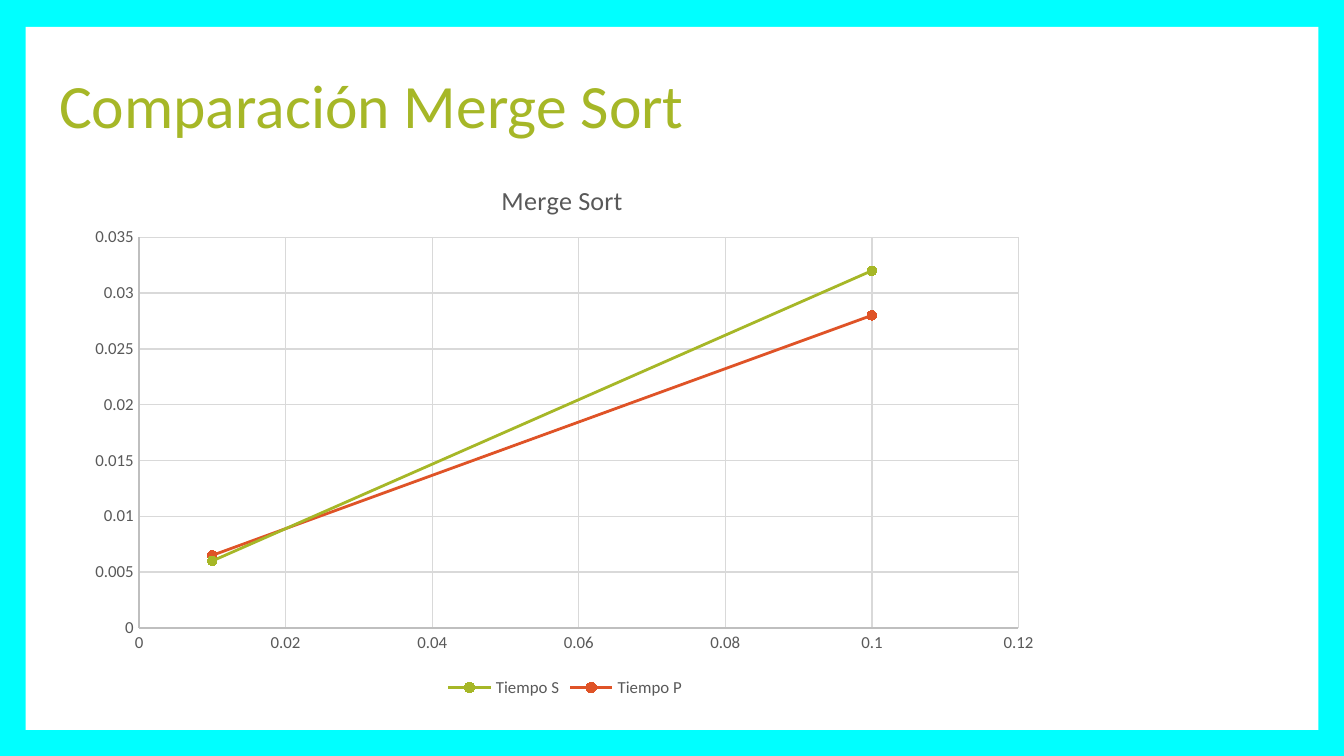
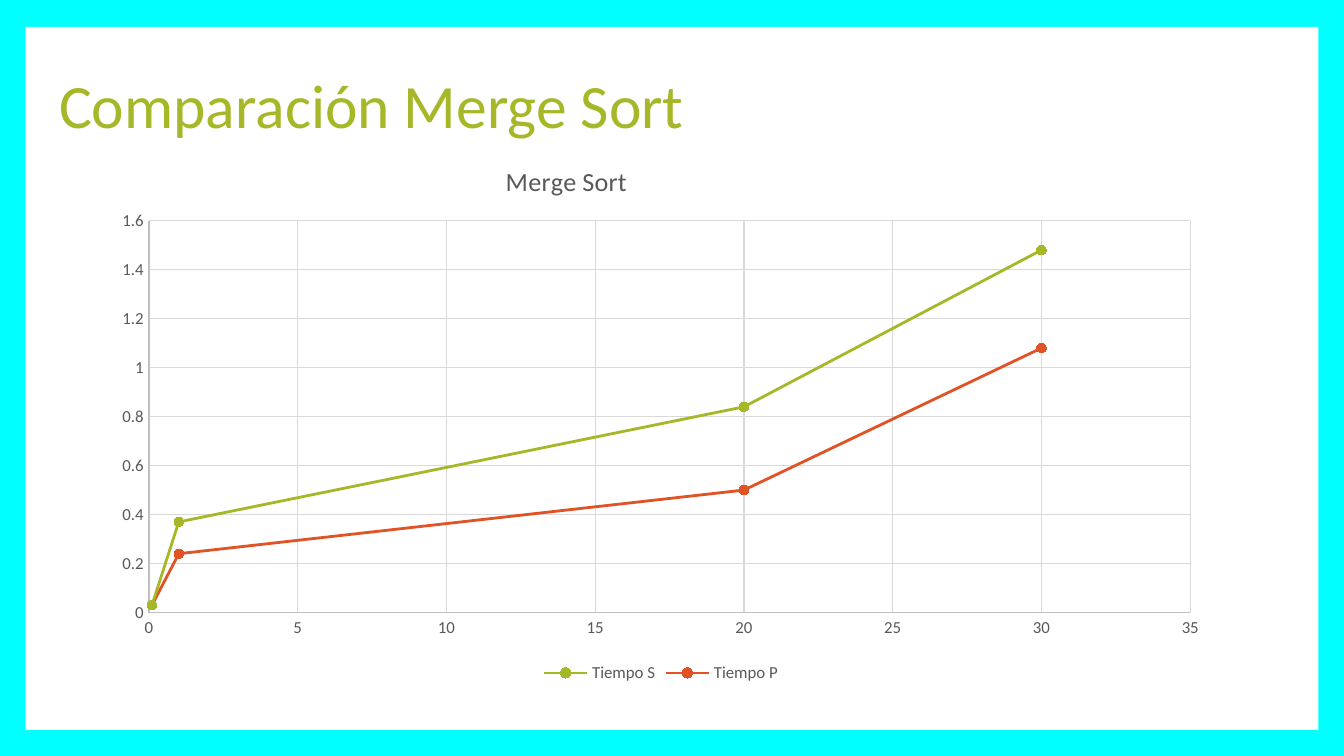
from dataclasses import dataclass

from lxml import etree
from pptx import Presentation
from pptx.chart.data import XyChartData
from pptx.dml.color import RGBColor
from pptx.enum.chart import (XL_CHART_TYPE, XL_LEGEND_POSITION,
                             XL_MARKER_STYLE, XL_TICK_MARK)
from pptx.enum.shapes import MSO_SHAPE
from pptx.enum.text import MSO_ANCHOR, MSO_AUTO_SIZE, PP_ALIGN
from pptx.oxml.ns import qn
from pptx.util import Pt

SMOOTH_SCATTER = XL_CHART_TYPE.XY_SCATTER_SMOOTH
BOTTOM = XL_LEGEND_POSITION.BOTTOM
CIRCLE = XL_MARKER_STYLE.CIRCLE
NO_TICKS = XL_TICK_MARK.NONE
TITLE_ONLY = 5

TITLE = "Comparación Merge Sort"
CHART_TITLE = "Merge Sort"

# Layout values are fractions of the chart; axes are (maximum, major unit).
SLIDES = [
    dict(box=(41, 80, 523.5, 296.5),
         plot=dict(x=0.064, y=0.159, w=0.9, h=0.706),
         heading=dict(x=0.43, y=0.05),
         x_axis=(0.12, 0.02), y_axis=(0.035, 0.005),
         sizes=[0.01, 0.1],
         times={"Tiempo S": [0.006, 0.032],
                "Tiempo P": [0.0065, 0.028]}),
    dict(box=(54, 71.3, 600.5, 297.4),
         plot=dict(x=0.043, y=0.158, w=0.929, h=0.706),
         heading=dict(x=0.357, y=0.045),
         x_axis=(35, 5), y_axis=(1.6, 0.2),
         sizes=[0.1, 1, 20, 30],
         times={"Tiempo S": [0.03, 0.37, 0.84, 1.48],
                "Tiempo P": [0.03, 0.24, 0.5, 1.08]}),
]


@dataclass(frozen=True)
class Theme:
    font: str = "Calibri"
    frame: str = "00FFFF"
    panel: str = "FFFFFF"
    title: str = "A6B727"
    label: str = "595959"
    axis: str = "BFBFBF"
    grid: str = "D9D9D9"
    series: tuple = ("A6B727", "DF5327")
    title_size: float = 33
    heading_size: float = 14
    label_size: float = 9


THEME = Theme()


def rgb(color):
    return RGBColor.from_string(color)


def set_font(font, size, color):
    font.name, font.size, font.bold = THEME.font, Pt(size), False
    font.color.rgb = rgb(color)


def set_line(line, color, width):
    line.color.rgb = rgb(color)
    line.width = Pt(width)


def place(shape, left, top, width, height):
    shape.left, shape.top = Pt(left), Pt(top)
    shape.width, shape.height = Pt(width), Pt(height)


def set_layout(parent, fractions, inner=False):
    """Fix the position of a chart title or plot area inside its chart."""
    layout = parent.find(qn("c:layout"))
    if layout is None:
        layout = etree.Element(qn("c:layout"))
        text = parent.find(qn("c:tx"))
        if text is None:
            parent.insert(0, layout)
        else:
            text.addnext(layout)
    for child in list(layout):
        layout.remove(child)
    manual = etree.SubElement(layout, qn("c:manualLayout"))
    if inner:
        etree.SubElement(manual, qn("c:layoutTarget"), val="inner")
    for tag in ("xMode", "yMode"):
        etree.SubElement(manual, qn(f"c:{tag}"), val="edge")
    for tag, value in fractions.items():
        etree.SubElement(manual, qn(f"c:{tag}"), val=str(value))


def style_master(prs, layout, slide):
    """Give every slide the coloured frame, white panel and title place."""
    fill = prs.slide_master.background.fill
    fill.solid()
    fill.fore_color.rgb = rgb(THEME.frame)
    panel = slide.shapes.add_shape(MSO_SHAPE.RECTANGLE, 0, 0, 0, 0)
    place(panel, 13.7, 14.4, 692.6, 376.6)
    panel.shadow.inherit = False
    panel.fill.solid()
    panel.fill.fore_color.rgb = rgb(THEME.panel)
    panel.line.fill.background()
    prs.slide_master.shapes._spTree.insert(2, panel._element)
    place(layout.placeholders[0], 24.5, 35.3, 671, 45.4)


def add_title(slide):
    tf = slide.shapes.title.text_frame
    tf.word_wrap, tf.auto_size = True, MSO_AUTO_SIZE.NONE
    tf.vertical_anchor = MSO_ANCHOR.MIDDLE
    tf.margin_left = tf.margin_right = Pt(7.2)
    tf.margin_top = tf.margin_bottom = Pt(7.2)
    p = tf.paragraphs[0]
    p.alignment, p.line_spacing = PP_ALIGN.LEFT, 0.9
    r = p.add_run()
    r.text = TITLE
    set_font(r.font, THEME.title_size, THEME.title)


def style_axis(axis, maximum, unit):
    axis.minimum_scale, axis.maximum_scale = 0, maximum
    axis.major_unit = unit
    axis.major_tick_mark = axis.minor_tick_mark = NO_TICKS
    axis.has_major_gridlines = True
    set_line(axis.major_gridlines.format.line, THEME.grid, 0.75)
    set_line(axis.format.line, THEME.axis, 0.75)
    set_font(axis.tick_labels.font, THEME.label_size, THEME.label)
    axis.tick_labels.number_format = "General"
    axis.tick_labels.number_format_is_linked = False


def style_series(series, color):
    series.smooth = True
    set_line(series.format.line, color, 1.5)
    marker = series.marker
    marker.style, marker.size = CIRCLE, 5
    marker.format.fill.solid()
    marker.format.fill.fore_color.rgb = rgb(color)
    set_line(marker.format.line, color, 0.75)


def add_time_chart(slide, content):
    data = XyChartData()
    for name, times in content["times"].items():
        series = data.add_series(name)
        for size, time in zip(content["sizes"], times):
            series.add_data_point(size, time)
    box = [Pt(v) for v in content["box"]]
    chart = slide.shapes.add_chart(SMOOTH_SCATTER, *box, data).chart
    set_font(chart.font, 10, "000000")

    chart.has_title = True
    r = chart.chart_title.text_frame.paragraphs[0].add_run()
    r.text = CHART_TITLE
    set_font(r.font, THEME.heading_size, THEME.label)
    chart.chart_title.include_in_layout = False
    set_layout(chart.chart_title._element, content["heading"])

    chart.has_legend = True
    chart.legend.position = BOTTOM
    chart.legend.include_in_layout = False
    set_font(chart.legend.font, THEME.label_size, THEME.label)

    style_axis(chart.category_axis, *content["x_axis"])
    style_axis(chart.value_axis, *content["y_axis"])
    plot = chart.plots[0]
    plot.vary_by_categories = False
    for series, color in zip(plot.series, THEME.series):
        style_series(series, color)
    plot_area = chart._chartSpace.chart.plotArea
    set_layout(plot_area, content["plot"], inner=True)


def main():
    prs = Presentation()
    prs.slide_width, prs.slide_height = Pt(720), Pt(405)
    layout = prs.slide_layouts[TITLE_ONLY]
    slides = [prs.slides.add_slide(layout) for _ in SLIDES]
    style_master(prs, layout, slides[0])
    for slide, content in zip(slides, SLIDES):
        add_title(slide)
        add_time_chart(slide, content)
    prs.save("out.pptx")


if __name__ == "__main__":
    main()
